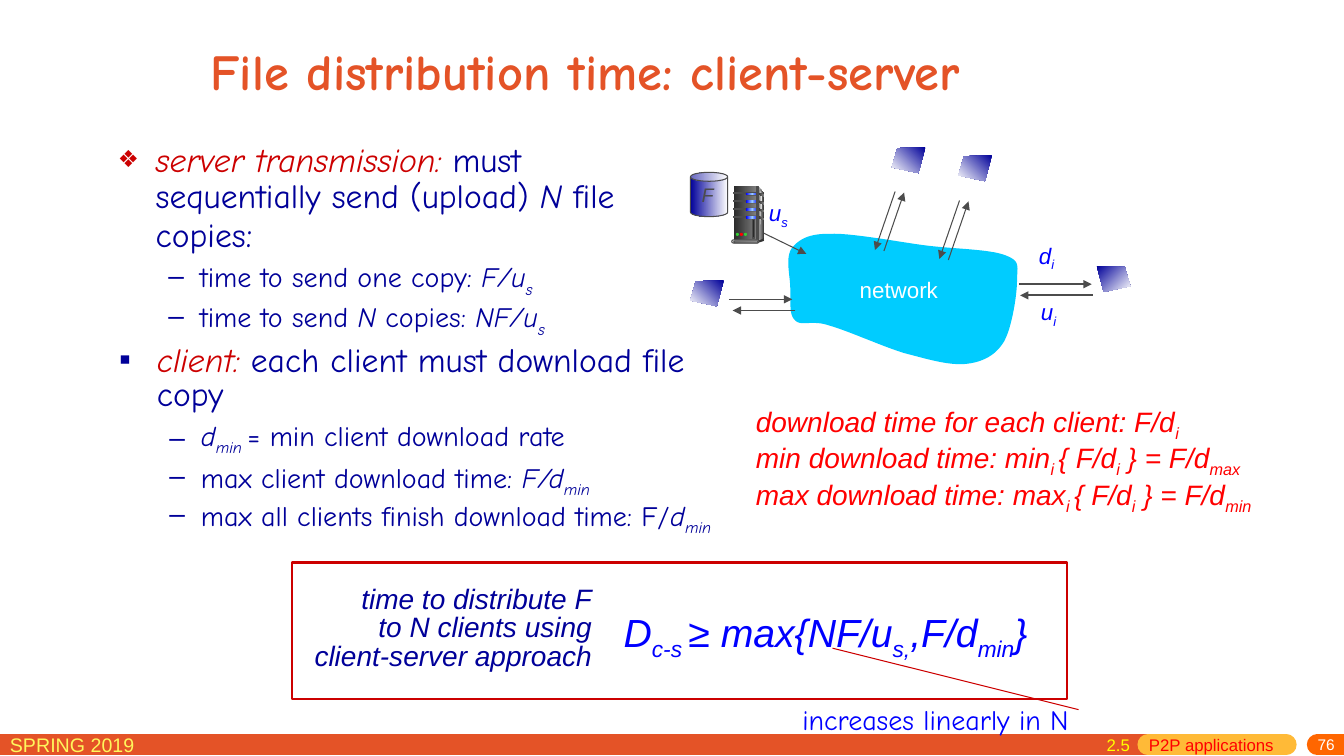
from copy import deepcopy
from dataclasses import dataclass
from typing import Optional

from lxml.etree import SubElement
from pptx import Presentation
from pptx.dml.color import RGBColor
from pptx.enum.shapes import MSO_CONNECTOR, MSO_SHAPE as Preset
from pptx.enum.text import MSO_ANCHOR, MSO_AUTO_SIZE, PP_ALIGN as Align
from pptx.oxml.ns import qn
from pptx.util import Pt

ORANGE, AMBER, BRIGHT_ORANGE = RGBColor(0xE4, 0x53, 0x27), RGBColor(0xFF, 0xBA, 0x37), RGBColor(0xFF, 0x66, 0)
CREAM, YELLOW, WHITE = RGBColor(0xFF, 0xF6, 0x5C), RGBColor(0xFF, 0xFF, 0), RGBColor(0xFF, 0xFF, 0xFF)
CRIMSON, RED, GREEN = RGBColor(0xCC, 0, 0), RGBColor(0xFF, 0, 0), RGBColor(0x33, 0xCC, 0x33)
NAVY, BLUE, PALE_BLUE = RGBColor(0, 0, 0x99), RGBColor(0, 0, 0xFF), RGBColor(0x99, 0xCC, 0xFF)
CYAN, SLATE = RGBColor(0, 0xCC, 0xFF), RGBColor(0x4C, 0x4C, 0x4C)
SOOT, DARK, MID = RGBColor(0x29, 0x29, 0x29), RGBColor(0x33, 0x33, 0x33), RGBColor(0x80, 0x80, 0x80)
STEEL, SILVER = RGBColor(0x77, 0x77, 0x77), RGBColor(0xB2, 0xB2, 0xB2)
LIGHT, PALE = RGBColor(0xDD, 0xDD, 0xDD), RGBColor(0xF8, 0xF8, 0xF8)
COMIC, ARIAL = "Comic Neue", "Arial"

Point = tuple[float, float]
Paint = tuple[RGBColor, ...]


@dataclass(frozen=True)
class Style:
    font: str
    size: float
    color: RGBColor
    italic: bool = False
    bold: bool = False


@dataclass(frozen=True)
class Span:
    text: str
    italic: Optional[bool] = None
    sub: bool = False
    color: Optional[RGBColor] = None
    size: Optional[float] = None


@dataclass(frozen=True)
class Item:
    spans: tuple[Span, ...]
    bullet: str = "–"
    level: int = 1
    spacing: float = 0.9
    bullet_percent: int = 100
    bullet_color: RGBColor = NAVY


@dataclass(frozen=True)
class Label:
    left: float
    top: float
    width: float
    height: float
    lines: tuple[tuple[Span, ...], ...]
    style: Style
    align: Align = Align.LEFT
    spacing: float = 1.0


def alternate(*texts: str) -> tuple[Span, ...]:
    """Spans that switch between the base line and subscript."""
    return tuple(Span(text, sub=index % 2 == 1) for index, text in enumerate(texts))


def write(para, spans: tuple[Span, ...], style: Style) -> None:
    for part in spans:
        span = para.add_run()
        span.text = part.text
        font = span.font
        font.name, font.bold = style.font, style.bold
        font.size = Pt(part.size or style.size)
        font.color.rgb = part.color or style.color
        font.italic = style.italic if part.italic is None else part.italic
        if part.sub:
            span._r.get_or_add_rPr().set("baseline", "-25000")


def add_bullet(para, item: Item) -> None:
    props = para._p.get_or_add_pPr()
    margin, hang = ((27, 27), (58.5, 22.5))[item.level]
    props.set("marL", str(Pt(margin)))
    props.set("indent", str(-Pt(hang)))
    color = SubElement(props, qn("a:buClr"))
    SubElement(color, qn("a:srgbClr"), val=str(item.bullet_color))
    SubElement(props, qn("a:buSzPct"), val=str(item.bullet_percent * 1000))
    SubElement(props, qn("a:buFont"), typeface=ARIAL)
    SubElement(props, qn("a:buChar"), char=item.bullet)


def place(box, left: float, top: float, width: float, height: float) -> None:
    box.left, box.top, box.width, box.height = Pt(left), Pt(top), Pt(width), Pt(height)
    box.text_frame.word_wrap = True
    box.text_frame.auto_size = MSO_AUTO_SIZE.NONE


def fill_list(box, items: list[Item]) -> None:
    frame = box.text_frame
    for index, item in enumerate(items):
        para = frame.add_paragraph() if index else frame.paragraphs[0]
        para.level = item.level
        add_bullet(para, item)
        para.line_spacing, para.space_before = item.spacing, Pt(4 if index else 0)
        write(para, item.spans, Style(COMIC, 20 if item.level else 24, NAVY))


def add_label(page, label: Label) -> None:
    box = page.shapes.add_textbox(0, 0, 0, 0)
    place(box, label.left, label.top, label.width, label.height)
    for index, spans in enumerate(label.lines):
        para = box.text_frame.add_paragraph() if index else box.text_frame.paragraphs[0]
        para.alignment, para.line_spacing = label.align, label.spacing
        write(para, spans, label.style)


def paint(shape, colors: Paint, outline: Optional[RGBColor] = None, weight: float = 0.75, angle: float = 0) -> None:
    """No colour leaves the shape hollow, one is solid, more make a gradient."""
    shape.shadow.inherit = False
    if not colors:
        shape.fill.background()
    elif len(colors) == 1:
        shape.fill.solid()
        shape.fill.fore_color.rgb = colors[0]
    else:
        shape.fill.gradient()
        shape.fill.gradient_angle = -angle % 360
        stops = shape._element.spPr.find(".//" + qn("a:gsLst"))
        for _ in colors[2:]:
            stops.append(deepcopy(stops[0]))
        for index, stop in enumerate(shape.fill.gradient_stops):
            stop.position, stop.color.rgb = index / (len(colors) - 1), colors[index]
    if outline is None:
        shape.line.fill.background()
    else:
        shape.line.color.rgb, shape.line.width = outline, Pt(weight)


def add_preset(page, kind: Preset, left: float, top: float, width: float, height: float, colors: Paint,
               outline: Optional[RGBColor] = None, weight: float = 0.75, adjust: Optional[float] = None) -> None:
    shape = page.shapes.add_shape(kind, Pt(left), Pt(top), Pt(width), Pt(height))
    if adjust is not None:
        shape.adjustments[0] = adjust
    paint(shape, colors, outline, weight)


def add_outline(page, points: list[Point], colors: Paint, angle: float = 0) -> None:
    corners = [(Pt(x), Pt(y)) for x, y in points]
    builder = page.shapes.build_freeform(*corners[0])
    builder.add_line_segments(corners[1:], close=True)
    paint(builder.convert_to_shape(), colors, angle=angle)


def smooth_outline(knots: list[Point], steps: int = 12) -> list[Point]:
    """Points along joined cubic curves: a start, then two controls and an end for each."""
    points = [knots[0]]
    for first in range(0, len(knots) - 1, 3):
        a, b, c, d = knots[first:first + 4]
        for t in (step / steps for step in range(1, steps + 1)):
            u = 1 - t
            points.append(tuple(u**3 * a[k] + 3 * u * u * t * b[k] + 3 * u * t * t * c[k] + t**3 * d[k]
                                for k in (0, 1)))
    return points


def add_line(page, start: Point, end: Point, color: RGBColor, weight: float = 0.75,
             arrow: bool = False, rounded: bool = False) -> None:
    line = page.shapes.add_connector(MSO_CONNECTOR.STRAIGHT, *(Pt(value) for value in start + end))
    line.line.color.rgb, line.line.width = color, Pt(weight)
    props = line._element.spPr
    stroke = props.find(qn("a:ln"))
    if rounded:
        stroke.set("cap", "rnd")
    if arrow:
        SubElement(stroke, qn("a:tailEnd"), type="triangle")
    SubElement(props, qn("a:effectLst"))


def add_server(page) -> None:
    add_outline(page, [(541.4, 133.2), (545.8, 138.2), (545.8, 170.6), (540.7, 172.1)], (LIGHT, DARK))
    add_preset(page, Preset.RECTANGLE, 524.2, 133.2, 16.6, 38.9, (SOOT, MID))
    add_outline(page, [(542.2, 135.4), (544.3, 139), (542.2, 170.6)], (MID, PALE))
    for y in (137.6 + 5.6 * row for row in range(4)):
        add_preset(page, Preset.RECTANGLE, 524.2, y, 9.4, 0.7, (SLATE,), SLATE)
        add_preset(page, Preset.ROUNDED_RECTANGLE, 532.6, y - 0.3, 9.4, 2.4, (SLATE,), adjust=0.5)
        add_preset(page, Preset.ROUNDED_RECTANGLE, 533, y, 8.6, 1.8, (BLUE, PALE_BLUE, BLUE), adjust=0.5)
        add_outline(page, [(541.4, y), (545.8, y + 1.6), (545.8, y + 3), (541.4, y + 1)], (SOOT, MID))
    add_preset(page, Preset.RECTANGLE, 540.7, 133.2, 1.4, 38.9, (DARK, LIGHT, DARK), SLATE)
    add_preset(page, Preset.OVAL, 545, 169.9, 0.7, 1.4, (DARK,))
    add_outline(page, [(541.4, 172.1), (541.4, 173.5), (545.8, 172.1), (545, 170.6)], (DARK,))
    add_preset(page, Preset.ROUNDED_RECTANGLE, 522.7, 171.4, 19.4, 2.2, (LIGHT,), SLATE, adjust=0.5)
    add_preset(page, Preset.ROUNDED_RECTANGLE, 524.2, 172.1, 17.3, 1.4, (STEEL, SILVER), SLATE, adjust=0.5)
    for index, light in enumerate((GREEN, RED, GREEN)):
        add_preset(page, Preset.OVAL, 525.6 + 2.9 * index, 166.3, 2.2, 2.2, (light,))
    add_preset(page, Preset.RECTANGLE, 537.8, 157, 1.4, 13, (SOOT,), SLATE)


CLOUD = [(591.8, 167), (576.7, 167), (570.2, 171.4), (565.2, 177.8), (560.9, 185), (564.5, 197.3), (564.5, 205.9),
         (565.2, 214.6), (563, 224.6), (568.1, 229), (572.4, 233.3), (580.3, 228.2), (592.6, 232.6),
         (605.5, 236.2), (629.3, 247), (645.1, 252), (661.7, 256.3), (678.2, 261.4), (690.5, 259.9),
         (702.7, 258.5), (711.4, 253.4), (717.1, 244.1), (722.9, 234), (726.5, 210.2), (726.5, 200.2),
         (726.5, 190.1), (729.4, 186.5), (717.8, 182.2), (706.3, 177.8), (679, 177.8), (658.8, 175),
         (637.9, 172.1), (607.7, 166.3), (591.8, 167)]
SCREEN = [(0, 0), (20, 0.7), (24, 14.4), (5, 18.5)]
RATE, FORMULA = Style(ARIAL, 16, BLUE, True), Style(ARIAL, 20, RED, True)
SERVER_ITEMS = [
    Item((Span("server transmission: ", True, color=CRIMSON), Span("must sequentially send (upload) "),
          Span("N ", True), Span("file copies"), Span(":", size=26)), "❖", 0, 0.9, 70, CRIMSON),
    Item((Span("time to send one copy: "), Span("F/u", True), Span("s", True, True))),
    Item((Span("time to send "), Span("N", True), Span(" copies: "), Span("NF/u", True), Span("s", True, True))),
]
CLIENT_ITEMS = [
    Item((Span("client: ", True, color=CRIMSON), Span("each client must download file copy")), "▪", 0, 0.85),
    Item((Span("d", True), Span("min ", True, True), Span("= min client download rate")), spacing=1.0),
    Item((Span("max client download time: "), Span("F/d", True), Span("min", True, True)), spacing=0.85),
    Item((Span("max all clients finish download time: F/"), Span("d", True), Span("min", True, True)), spacing=0.85),
]
TIMES = [alternate("download time for each client: F/d", "i")] + [
    alternate(f"{end} download time: {end}", "i ", "{ F/d", "i", " } = F/d", other)
    for end, other in (("min", "max"), ("max", "min"))]
LABELS = [
    Label(0, 520, 165, 22, (alternate("SPRING 2019"),), Style(ARIAL, 14, CREAM)),
    Label(783.4, 521.3, 36, 22, (alternate("2.5"),), Style(ARIAL, 12, YELLOW)),
    Label(813.6, 521.3, 115, 22, (alternate("P2P applications"),), Style(ARIAL, 12, RED)),
    Label(910, 521.5, 50.5, 20, (alternate("76"),), Style(ARIAL, 11, WHITE), Align.RIGHT),
    Label(566, 502.6, 222.5, 26.6, (alternate("increases linearly in N"),), Style(COMIC, 20, BLUE), spacing=0.8),
    Label(208, 415.4, 222, 69, tuple(alternate(line) for line in (
        "time to distribute F", "to N clients using", "client-server approach")),
        Style(ARIAL, 20, NAVY, True), Align.RIGHT, 0.85),
    Label(438.4, 431.3, 327, 41, (alternate("D", "c-s ", "≥ max{NF/u", "s,", ",F/d", "min", "}"),),
          Style(ARIAL, 28, BLUE, True)),
    Label(542.2, 139, 36, 26.6, (alternate("u", "s"),), RATE),
    Label(735, 169.2, 36, 26.6, (alternate("d", "i"),), RATE),
    Label(736.5, 209.5, 36, 26.6, (alternate("u", "i"),), RATE),
    Label(604, 193.7, 76, 26.6, (alternate("network"),), Style(ARIAL, 16, WHITE), Align.CENTER),
    Label(474.5, 127.4, 62, 24.5, (alternate("F"),), Style(ARIAL, 14, SLATE, True), Align.CENTER),
] + [Label(532.8, 288 + 25.9 * row, 384, 26.6, (spans,), FORMULA, spacing=0.8) for row, spans in enumerate(TIMES)]


def main() -> None:
    deck = Presentation()
    deck.slide_width, deck.slide_height = Pt(960), Pt(540)
    page = deck.slides.add_slide(deck.slide_layouts[3])
    title, server_list, client_list = page.placeholders
    place(title, 143.3, 5, 671, 90)
    title.text_frame.vertical_anchor = MSO_ANCHOR.MIDDLE
    title.text_frame.paragraphs[0].alignment = Align.LEFT
    write(title.text_frame.paragraphs[0], alternate("File distribution time: client-server"),
          Style(COMIC, 36, ORANGE, bold=True))
    place(server_list, 77, 98.6, 391, 149)
    fill_list(server_list, SERVER_ITEMS)
    place(client_list, 77.8, 242.6, 438.5, 158.4)
    fill_list(client_list, CLIENT_ITEMS)

    for left, right, color, rounded in ((0, 820, ORANGE, False), (820, 918.7, AMBER, True),
                                        (941, 960, BRIGHT_ORANGE, True)):
        add_line(page, (left, 532), (right, 532), color, 15, rounded=rounded)
    add_line(page, (770.4, 506.9), (594.7, 463), CRIMSON)
    add_preset(page, Preset.RECTANGLE, 208.8, 401.8, 553.7, 97.2, (), CRIMSON, 1.5)
    add_outline(page, smooth_outline(CLOUD), (CYAN,))
    for start, end in (((540.7, 164.2), (576, 181.4)), ((520.6, 213.8), (565.9, 213.8)),
                       ((568.1, 221.8), (523.4, 221.8))):
        add_line(page, start, end, SLATE, arrow=True)
    for x, y in ((625, 178.6), (671, 185)):
        add_line(page, (x + 14.4, y - 41.8), (x, y), SLATE, arrow=True)
        add_line(page, (x + 6.4, y + 0.7), (x + 20.8, y - 41.1), SLATE, arrow=True)
    add_line(page, (727.9, 203), (779.8, 203), SLATE, 1.5, arrow=True)
    add_line(page, (780.5, 211), (728.6, 211), SLATE, 1.5, arrow=True)
    add_preset(page, Preset.CAN, 493.2, 123.1, 26.6, 31.7, (NAVY, WHITE), SLATE, adjust=0.242)
    add_server(page)
    for x, y, mirror in ((517, 200.2, -1), (661, 105.1, -1), (708.5, 110.9, -1), (783.4, 190, 1)):
        add_outline(page, [(x + mirror * dx, y + dy) for dx, dy in SCREEN], (NAVY, WHITE), 90 - 45 * mirror)
    for label in LABELS:
        add_label(page, label)
    deck.save("out.pptx")


if __name__ == "__main__":
    main()
